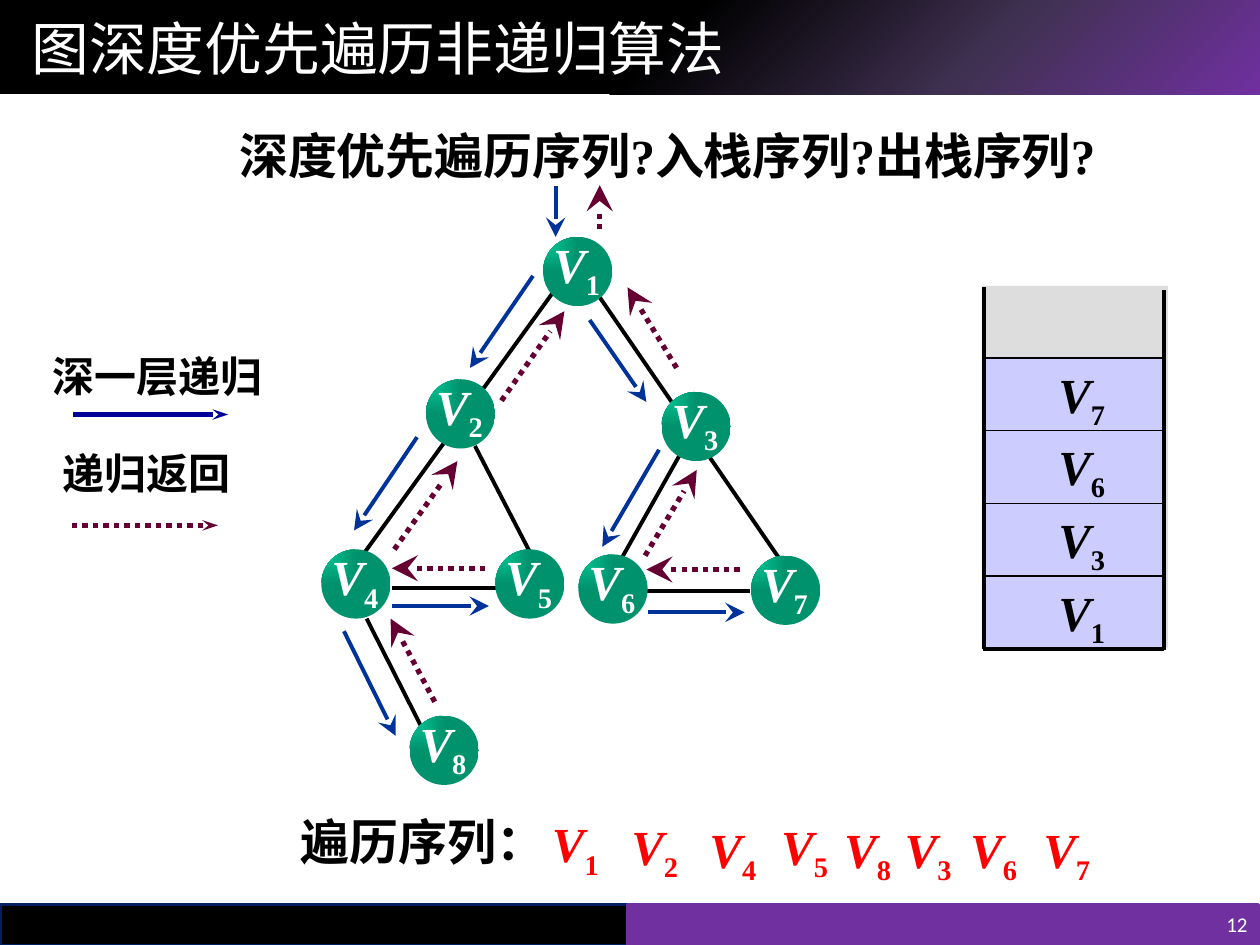
from dataclasses import dataclass
from typing import NamedTuple, Optional

import lxml.etree
import pptx
import pptx.dml.color
import pptx.enum.dml
import pptx.enum.shapes
import pptx.enum.text
import pptx.oxml.ns
import pptx.util

COLUMNS, ROWS = 100, 75
Align = pptx.enum.text.PP_ALIGN
Anchor = pptx.enum.text.MSO_ANCHOR
Dash = pptx.enum.dml.MSO_LINE
Kind = pptx.enum.shapes.MSO_SHAPE


@dataclass(frozen=True)
class Theme:
    serif: str = "Times New Roman"
    sans: str = "Calibri"
    heading: str = "Arial"
    black: str = "000000"
    white: str = "FFFFFF"
    purple: str = "7030A0"
    navy: str = "002060"
    red: str = "FF0000"
    visit: str = "003399"
    legend: str = "000099"
    back: str = "660033"
    stack: str = "CCCCFF"
    empty: str = "DDDDDD"
    bar_stops: tuple = ((0, "7030A0"), (23, "403152"), (48, "000000"), (97, "000000"))
    node_stops: tuple = ((0, "00CC99"), (100, "00926D"))
    title_size: float = 33
    text_size: float = 28
    legend_size: float = 24
    number_size: float = 12


class Area(NamedTuple):
    left: float
    top: float
    width: float
    height: float


class Segment(NamedTuple):
    x1: float
    y1: float
    x2: float
    y2: float


class Stroke(NamedTuple):
    color: str
    width: float
    head: Optional[tuple] = None
    dotted: bool = False


class Label(NamedTuple):
    text: str
    area: Area
    size: float
    font: str
    align: object = Align.JUSTIFY
    insets: tuple = (0.1, 0.05, 0.1, 0.05)


THEME = Theme()
TIGHT = (0.02, 0.01, 0.02, 0.01)
BIG, SLIM = ("lg", "lg"), ("sm", "med")
EDGE = Stroke(THEME.black, 2.25)
VISIT = Stroke(THEME.visit, 2.25, BIG)
BACK = Stroke(THEME.back, 3, BIG, True)
LEGEND_VISIT = Stroke(THEME.legend, 3, SLIM)
LEGEND_BACK = Stroke(THEME.back, 3, SLIM, True)

NODES = {1: (43.1, 18.8), 3: (52.5, 31.1), 2: (33.8, 30.1), 4: (25.5, 43.6),
         5: (39.3, 43.6), 6: (45.9, 44), 7: (59.6, 44.1), 8: (32.5, 56.8)}
LINES = {
    EDGE: [(39.4, 46.7, 31.1, 46.7), (47.6, 23.6, 61.9, 44.4), (43.9, 23.2, 28.9, 43.9),
           (37.7, 35.4, 42.1, 43.9), (53.9, 36.2, 49.4, 44.2), (59.5, 46.9, 51.2, 46.9),
           (29.1, 49.1, 33.4, 57.6)],
    LEGEND_VISIT: [(5.8, 32.9, 18.1, 32.9)],
    LEGEND_BACK: [(5.7, 41.7, 17.3, 41.7)],
    VISIT: [(44.1, 14.8, 44.1, 18.8), (42.3, 21.9, 37.3, 29.2), (33.1, 34.7, 28.1, 42.1),
            (31.1, 48.1, 38.8, 48.1), (27.3, 50.1, 31.4, 58.4), (46.8, 25.4, 51.3, 31.9),
            (52.3, 35.7, 47.8, 43.4), (51.4, 48.6, 59.1, 48.6)],
    BACK: [(38.5, 45.1, 31.1, 45.1), (34.5, 55.7, 31, 49.1), (31.3, 43.6, 36.3, 36.6),
           (39.8, 31.8, 44.8, 24.7), (58.7, 45.2, 51.3, 45.2), (51.2, 44.1, 55.3, 37.3),
           (53.7, 29.2, 49.8, 22.8), (47.6, 18.2, 47.6, 14.7)],
}
STACK_FRAME = [(78.1, 22.8, 78.1, 51.5), (92.4, 23, 92.4, 51.6), (78, 51.5, 92.4, 51.5)]
STACK = (7, 6, 3, 1)
VISITED = ((1, 43.6, 64.5), (2, 49.9, 64.7), (4, 56.1, 64.9), (5, 61.8, 64.7),
           (8, 66.8, 64.9), (3, 71.6, 64.9), (6, 76.8, 64.9), (7, 82.6, 64.9))
LABELS = (
    Label("深一层递归", Area(4, 27.7, 17.5, 5.4), THEME.legend_size, THEME.serif, insets=TIGHT),
    Label("递归返回", Area(4.8, 35.4, 16.7, 5.3), THEME.legend_size, THEME.serif, insets=TIGHT),
    Label("深度优先遍历序列?入栈序列?出栈序列?", Area(18, 9.5, 75, 5.7),
          THEME.text_size, THEME.serif),
    Label("遍历序列：", Area(22.9, 63.9, 23.9, 5.7), THEME.text_size, THEME.heading, Align.LEFT),
)

deck = pptx.Presentation()
deck.slide_width, deck.slide_height = pptx.util.Inches(10), pptx.util.Inches(7.5)


def across(columns: float) -> int:
    return round(deck.slide_width * columns / COLUMNS)


def down(rows: float) -> int:
    return round(deck.slide_height * rows / ROWS)


def place(area: Area) -> tuple:
    return across(area.left), down(area.top), across(area.width), down(area.height)


def rgb(value: str):
    return pptx.dml.color.RGBColor.from_string(value)


def set_font(font, size: float, name: str, color: str, bold=None) -> None:
    font.size, font.name, font.bold = pptx.util.Pt(size), name, bold
    font.color.rgb = rgb(color)


def set_gradient(shape, stops: tuple, style: str, focus: dict) -> None:
    shape.fill.gradient()
    gradient = shape.fill._xPr.find(pptx.oxml.ns.qn("a:gradFill"))
    for child in list(gradient):
        gradient.remove(child)

    def add(parent, tag: str, **values):
        return lxml.etree.SubElement(parent, pptx.oxml.ns.qn(tag), **values)

    stop_list = add(gradient, "a:gsLst")
    for share, color in stops:
        add(add(stop_list, "a:gs", pos=str(share * 1000)), "a:srgbClr", val=color)
    add(add(gradient, "a:path", path=style), "a:fillToRect", **focus)


def add_block(shapes, kind, area: Area, fill: Optional[str] = None,
              outline: Optional[str] = None, width: float = 2):
    block = shapes.add_shape(kind, *place(area))
    block.shadow.inherit = False
    if fill:
        block.fill.solid()
        block.fill.fore_color.rgb = rgb(fill)
    if outline:
        block.line.color.rgb = rgb(outline)
        block.line.width = pptx.util.Pt(width)
    else:
        block.line.fill.background()
    return block


def add_line(shapes, segment: Segment, stroke: Stroke) -> None:
    line = shapes.add_connector(
        pptx.enum.shapes.MSO_CONNECTOR.STRAIGHT, across(segment.x1), down(segment.y1),
        across(segment.x2), down(segment.y2))
    line.line.color.rgb = rgb(stroke.color)
    line.line.width = pptx.util.Pt(stroke.width)
    if stroke.dotted:
        line.line.dash_style = Dash.ROUND_DOT
    if stroke.head:
        width, length = stroke.head
        lxml.etree.SubElement(line.line._get_or_add_ln(), pptx.oxml.ns.qn("a:tailEnd"),
                              type="stealth", w=width, len=length)
    lxml.etree.SubElement(line._element.spPr, pptx.oxml.ns.qn("a:effectLst"))


def set_frame(frame, insets: tuple, anchor=Anchor.TOP) -> None:
    frame.word_wrap, frame.vertical_anchor = True, anchor
    (frame.margin_left, frame.margin_top, frame.margin_right,
     frame.margin_bottom) = map(pptx.util.Inches, insets)


def write_vertex(frame, index: int, color: str, insets: tuple, align=Align.LEFT) -> None:
    set_frame(frame, insets)
    para = frame.paragraphs[0]
    para.alignment = align
    set_font(para.font, THEME.text_size, THEME.serif, color, True)
    letter, digit = para.add_run(), para.add_run()
    letter.text, digit.text = "V", str(index)
    letter.font.italic = True
    digit.font._element.set("baseline", "-25000")


def add_label(shapes, label: Label, color: str = THEME.black, bold=True,
              anchor=Anchor.TOP) -> None:
    box = shapes.add_textbox(*place(label.area))
    set_frame(box.text_frame, label.insets, anchor)
    para = box.text_frame.paragraphs[0]
    para.text, para.alignment = label.text, label.align
    set_font(para.font, label.size, label.font, color, bold)


def add_node(page, index: int, left: float, top: float) -> None:
    group = page.shapes.add_group_shape()
    circle = add_block(group.shapes, Kind.OVAL, Area(left, top, 5.5, 5.5))
    set_gradient(circle, THEME.node_stops, "rect", {"r": "100000", "b": "100000"})
    box = group.shapes.add_textbox(*place(Area(left + 0.7, top - 0.5, 5.1, 6.5)))
    write_vertex(box.text_frame, index, THEME.white, (0.01, 0.03, 0, 0.01), Align.JUSTIFY)


def add_chrome(page) -> None:
    bar = add_block(page.shapes, Kind.RECTANGLE, Area(0, 0, 100, 7.5))
    set_gradient(bar, THEME.bar_stops, "circle", {"l": "100000", "t": "100000"})
    for left, fill, outline in ((0, THEME.black, THEME.navy), (49.8, THEME.purple, THEME.purple)):
        add_block(page.shapes, Kind.RECTANGLE, Area(left, 71.8, 50.1, 3.3), fill, outline)
    title = page.shapes.title
    page.shapes._spTree.append(title._element)
    title.left, title.top, title.width, title.height = place(Area(0, 0, 97.5, 7.5))
    set_frame(title.text_frame, (0.25, 0.05, 0.1, 0.05), Anchor.MIDDLE)
    para = title.text_frame.paragraphs[0]
    para.text, para.alignment = "图深度优先遍历非递归算法", Align.LEFT
    set_font(para.font, THEME.title_size, THEME.sans, THEME.white)
    number = Label("12", Area(87.5, 71.7, 12.5, 3.3), THEME.number_size, THEME.sans, Align.RIGHT)
    add_label(page.shapes, number, THEME.white, None, Anchor.MIDDLE)


def add_stack(page) -> None:
    add_block(page.shapes, Kind.RECTANGLE, Area(77.9, 22.7, 14.8, 28.7), THEME.empty)
    for row, index in enumerate(STACK):
        cell = add_block(page.shapes, Kind.RECTANGLE, Area(78.1, 28.4 + row * 5.77, 14.3, 5.8),
                         THEME.stack, THEME.black, 0.75)
        write_vertex(cell.text_frame, index, THEME.black, (0.59, 0.05, 0.1, 0.05))
    for points in STACK_FRAME:
        add_line(page.shapes, Segment(*points), EDGE)


def main() -> None:
    page = deck.slides.add_slide(deck.slide_layouts[5])
    add_chrome(page)
    for stroke, segments in LINES.items():
        for points in segments:
            add_line(page.shapes, Segment(*points), stroke)
    for index, corner in NODES.items():
        add_node(page, index, *corner)
    add_stack(page)
    for label in LABELS:
        add_label(page.shapes, label)
    for index, left, top in VISITED:
        box = page.shapes.add_textbox(*place(Area(left, top, 6.2, 4.9)))
        write_vertex(box.text_frame, index, THEME.red, TIGHT)
    deck.save("out.pptx")


if __name__ == "__main__":
    main()
